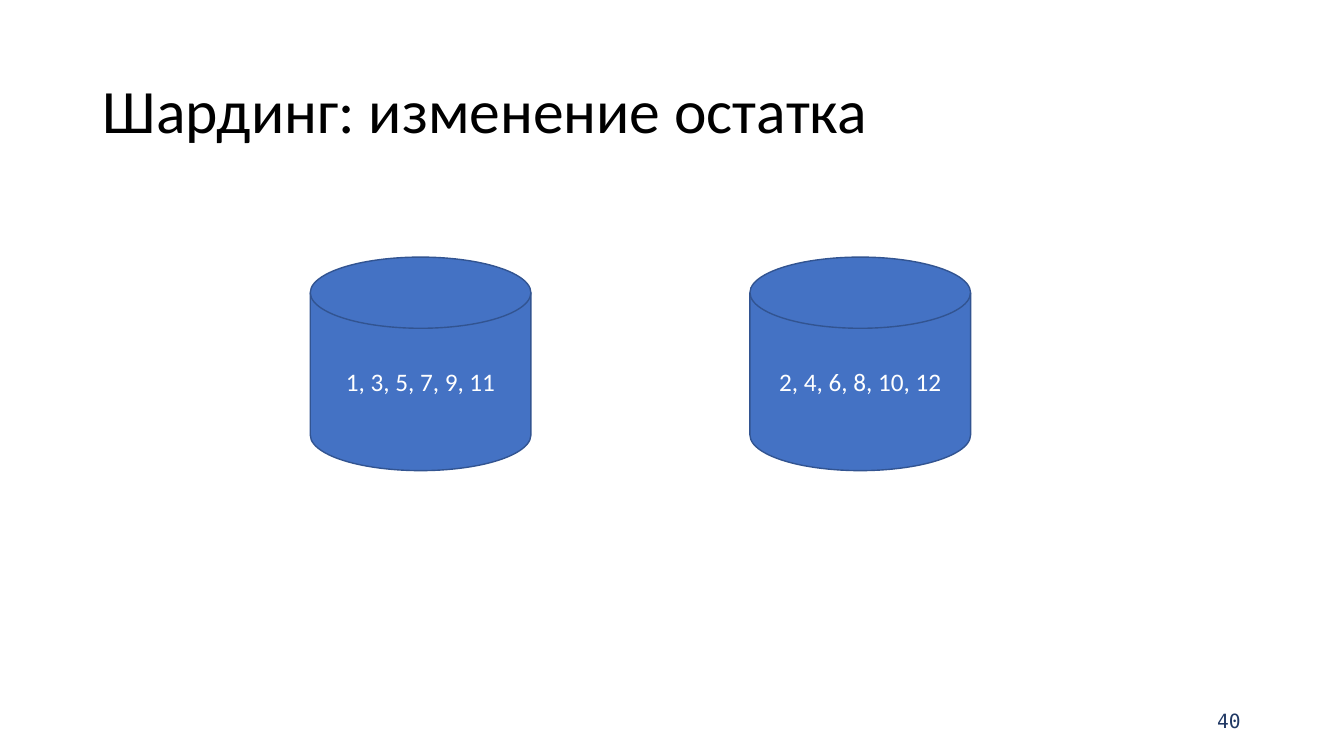
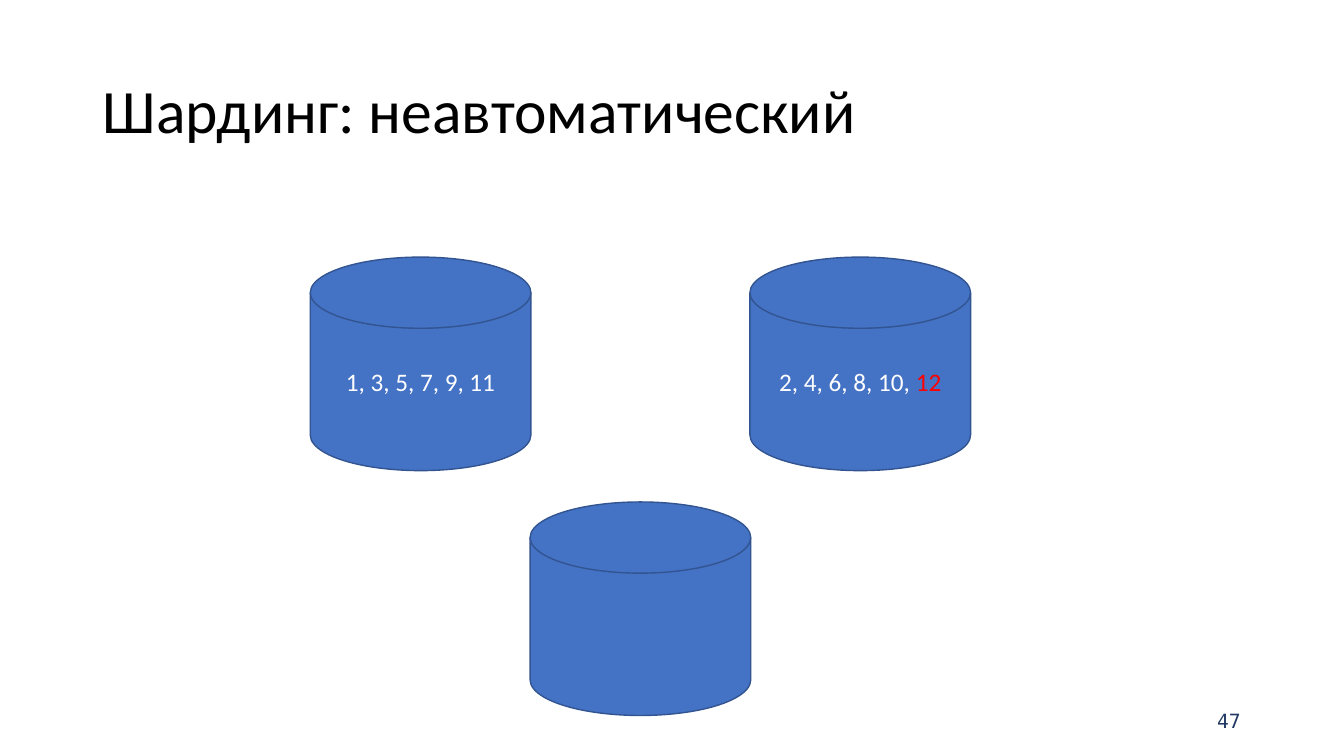
from dataclasses import dataclass

import pptx
import pptx.dml.color
import pptx.enum.shapes
import pptx.enum.text
import pptx.presentation
import pptx.shapes.autoshape
import pptx.slide
import pptx.text.text
import pptx.util

Cm = pptx.util.Cm
Pt = pptx.util.Pt
RGBColor = pptx.dml.color.RGBColor
Align = pptx.enum.text.PP_ALIGN
Anchor = pptx.enum.text.MSO_ANCHOR

TITLE_ONLY = 5


@dataclass(frozen=True)
class Theme:
    background: RGBColor = RGBColor.from_string("FFFFFF")
    title: RGBColor = RGBColor.from_string("000000")
    page_number: RGBColor = RGBColor.from_string("203864")
    shard: RGBColor = RGBColor.from_string("4472C4")
    shard_outline: RGBColor = RGBColor.from_string("325491")
    keys: RGBColor = RGBColor.from_string("FFFFFF")
    moved_key: RGBColor = RGBColor.from_string("FF0000")
    font: str = "Calibri"
    number_font: str = "DejaVu Sans Mono"
    title_size: int = 44
    keys_size: int = 18
    number_size: int = 14


@dataclass(frozen=True)
class Shard:
    """A store on the grid; moved_key is the highlighted end of its key list."""
    column: int
    row: int
    keys: str = ""
    moved_key: str = ""


@dataclass(frozen=True)
class ShardingSlide:
    title: str
    number: str
    shards: tuple[Shard, ...]


THEME = Theme()

SHARD_WIDTH, SHARD_HEIGHT = Cm(5.56), Cm(5.38)
GRID_LEFT, GRID_TOP = Cm(7.82), Cm(6.48)
COLUMN_STEP, ROW_STEP = Cm(5.54), Cm(6.17)

ODD_SHARD = Shard(0, 0, "1, 3, 5, 7, 9, 11")
SLIDES = (
    ShardingSlide("Шардинг: изменение остатка", "40",
                  (ODD_SHARD, Shard(2, 0, "2, 4, 6, 8, 10, 12"))),
    ShardingSlide("Шардинг: неавтоматический", "47",
                  (ODD_SHARD, Shard(2, 0, "2, 4, 6, 8, 10, ", "12"), Shard(1, 1))),
)


def format_run(run: pptx.text.text._Run, font: str, size: int, color: RGBColor) -> None:
    run.font.name = font
    run.font.size = Pt(size)
    run.font.color.rgb = color


def add_title(slide: pptx.slide.Slide, text: str) -> None:
    title = slide.shapes.title
    title.left, title.top, title.width, title.height = Cm(2.34), Cm(1.02), Cm(29.21), Cm(3.68)
    frame = title.text_frame
    frame.text = text
    frame.word_wrap = True
    frame.auto_size = pptx.enum.text.MSO_AUTO_SIZE.NONE
    frame.vertical_anchor = Anchor.MIDDLE
    paragraph = frame.paragraphs[0]
    paragraph.alignment = Align.LEFT
    paragraph.line_spacing = 0.9
    format_run(paragraph.runs[0], THEME.font, THEME.title_size, THEME.title)


def add_page_number(slide: pptx.slide.Slide, number: str) -> None:
    frame = slide.shapes.add_textbox(Cm(23.93), Cm(17.65), Cm(7.59), Cm(1.02)).text_frame
    frame.text = number
    frame.word_wrap = True
    frame.vertical_anchor = Anchor.MIDDLE
    paragraph = frame.paragraphs[0]
    paragraph.alignment = Align.RIGHT
    format_run(paragraph.runs[0], THEME.number_font, THEME.number_size, THEME.page_number)


def add_shard(slide: pptx.slide.Slide, shard: Shard) -> None:
    disk = slide.shapes.add_shape(
        pptx.enum.shapes.MSO_SHAPE.FLOWCHART_MAGNETIC_DISK,
        GRID_LEFT + shard.column * COLUMN_STEP, GRID_TOP + shard.row * ROW_STEP,
        SHARD_WIDTH, SHARD_HEIGHT)
    disk.shadow.inherit = False
    disk.fill.solid()
    disk.fill.fore_color.rgb = THEME.shard
    disk.line.color.rgb = THEME.shard_outline
    disk.line.width = Pt(1)
    if shard.keys:
        write_keys(disk, shard)


def write_keys(disk: pptx.shapes.autoshape.Shape, shard: Shard) -> None:
    frame = disk.text_frame
    frame.text = shard.keys
    frame.word_wrap = True
    frame.vertical_anchor = Anchor.MIDDLE
    paragraph = frame.paragraphs[0]
    paragraph.alignment = Align.CENTER
    format_run(paragraph.runs[0], THEME.font, THEME.keys_size, THEME.keys)
    if shard.moved_key:
        moved = paragraph.add_run()
        moved.text = shard.moved_key
        format_run(moved, THEME.font, THEME.keys_size, THEME.moved_key)


def add_sharding_slide(deck: pptx.presentation.Presentation, content: ShardingSlide) -> None:
    slide = deck.slides.add_slide(deck.slide_layouts[TITLE_ONLY])
    add_title(slide, content.title)
    add_page_number(slide, content.number)
    for shard in content.shards:
        add_shard(slide, shard)


def main() -> None:
    deck = pptx.Presentation()
    deck.slide_width, deck.slide_height = Cm(33.87), Cm(19.05)
    background = deck.slide_master.background.fill
    background.solid()
    background.fore_color.rgb = THEME.background
    for content in SLIDES:
        add_sharding_slide(deck, content)
    deck.save("out.pptx")


if __name__ == "__main__":
    main()
